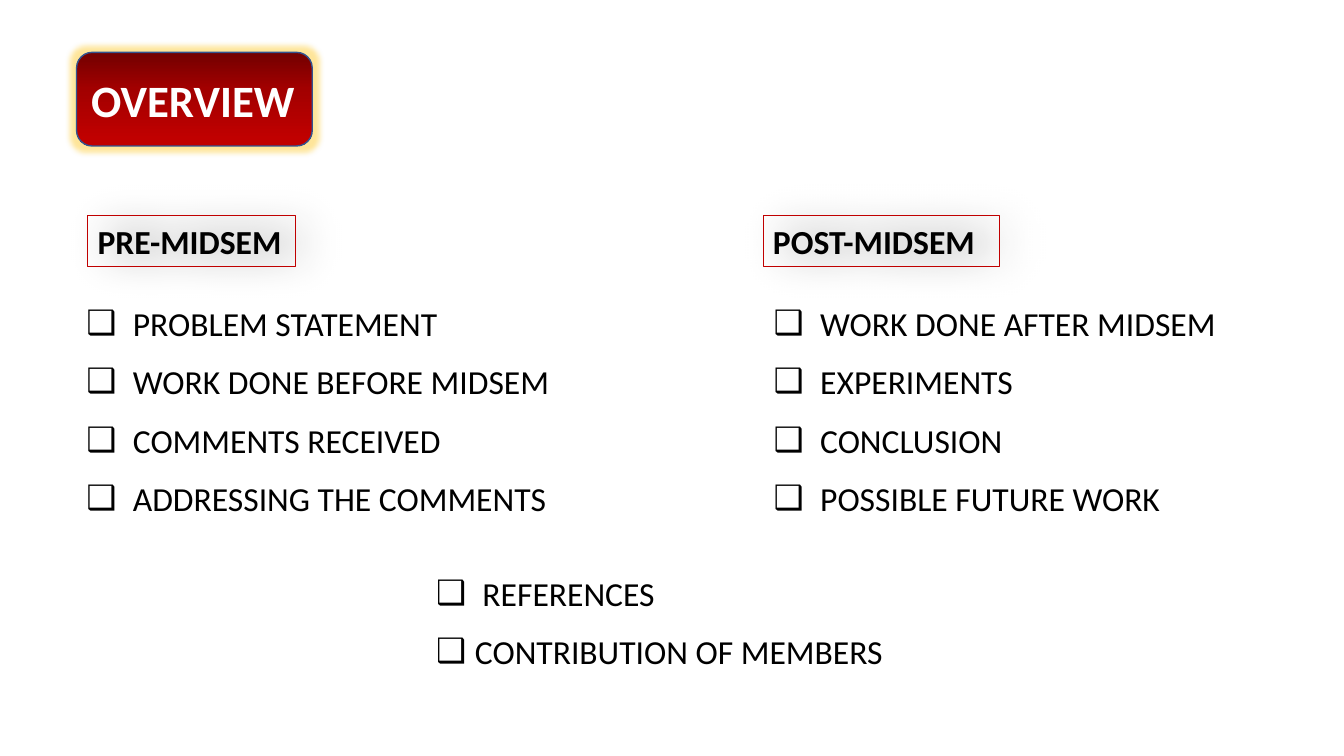
from lxml.etree import SubElement
from pptx import Presentation
from pptx.dml.color import RGBColor
from pptx.enum.shapes import MSO_SHAPE
from pptx.enum.text import MSO_ANCHOR, PP_ALIGN
from pptx.oxml.ns import qn
from pptx.util import Cm, Pt

FONT = "Calibri"
BLACK, WHITE, RED = "000000", "FFFFFF", "C00000"
WIDE_INDENT, NARROW_INDENT = Cm(1.17), Cm(0.98)


def color(hex_string):
    return RGBColor.from_string(hex_string)


def add_node(parent, tag, **attributes):
    return SubElement(parent, qn(tag), {name: str(value) for name, value in attributes.items()})


def add_color(parent, hex_string, alpha=100):
    srgb = add_node(parent, "a:srgbClr", val=hex_string)
    if alpha < 100:
        add_node(srgb, "a:alpha", val=alpha * 1000)


def add_effect(shape, tag, hex_string, alpha, **attributes):
    shape.shadow.inherit = False
    effects = shape._element.spPr.find(qn("a:effectLst"))
    add_color(add_node(effects, tag, **attributes), hex_string, alpha)


def style_text(paragraph, size, hex_string, bold=False, align=PP_ALIGN.LEFT):
    paragraph.alignment = align
    for run in paragraph.runs:
        run.font.name = FONT
        run.font.size = Pt(size)
        run.font.bold = bold
        run.font.color.rgb = color(hex_string)


def add_title(slide, left, top, width, height, wording):
    title = slide.shapes.add_shape(MSO_SHAPE.ROUNDED_RECTANGLE, left, top, width, height)
    title.fill.gradient()
    title.fill.gradient_angle = 270
    stops = title._element.spPr.find(qn("a:gradFill")).find(qn("a:gsLst"))
    for stop in list(stops):
        stops.remove(stop)
    for position, shade in ((0, "720000"), (39, "A20000"), (93, RED)):
        add_color(add_node(stops, "a:gs", pos=position * 1000), shade)
    title.line.color.rgb = color("325491")
    title.line.width = Pt(1)
    add_effect(title, "a:glow", "FFC000", 40, rad=Pt(8))
    title.text_frame.text = wording
    title.text_frame.vertical_anchor = MSO_ANCHOR.MIDDLE
    style_text(title.text_frame.paragraphs[0], 32, WHITE, bold=True)


def add_heading(slide, left, top, width, height, wording):
    heading = slide.shapes.add_shape(MSO_SHAPE.RECTANGLE, left, top, width, height)
    heading.fill.background()
    heading.line.color.rgb = color(RED)
    heading.line.width = Pt(0.75)
    add_effect(heading, "a:outerShdw", BLACK, 45, blurRad=Pt(30), dist=Pt(10), dir=0)
    heading.text_frame.text = wording
    heading.text_frame.vertical_anchor = MSO_ANCHOR.TOP
    style_text(heading.text_frame.paragraphs[0], 24, BLACK, bold=True)


def add_checklist(slide, left, top, width, height, items, align=PP_ALIGN.JUSTIFY):
    frame = slide.shapes.add_textbox(left, top, width, height).text_frame
    frame.word_wrap = True
    frame.text = "\n".join(wording for wording, _ in items)
    for position, (paragraph, (_, indent)) in enumerate(zip(frame.paragraphs, items)):
        style_text(paragraph, 24, BLACK, align=align)
        paragraph.space_before = Pt(13 if position else 0)
        properties = paragraph._p.get_or_add_pPr()
        properties.set("marL", str(indent))
        properties.set("indent", str(-indent))
        add_node(properties, "a:buFont", typeface=FONT)
        add_node(properties, "a:buChar", char="❑")


def add_overview(slide):
    add_title(slide, Cm(1.93), Cm(1.32), Cm(5.94), Cm(2.36), "OVERVIEW")

    before = ("PROBLEM STATEMENT", "WORK DONE BEFORE MIDSEM",
              "COMMENTS RECEIVED", "ADDRESSING THE COMMENTS")
    after = ("WORK DONE AFTER MIDSEM", "EXPERIMENTS",
             "CONCLUSION", "POSSIBLE FUTURE WORK")
    add_checklist(slide, Cm(1.93), Cm(7.5), Cm(12.7), Cm(5.75),
                  [(wording, WIDE_INDENT) for wording in before], PP_ALIGN.LEFT)
    add_checklist(slide, Cm(19.25), Cm(7.5), Cm(12.7), Cm(5.75),
                  [(wording, WIDE_INDENT) for wording in after])

    add_heading(slide, Cm(19.23), Cm(5.44), Cm(5.97), Cm(1.27), "POST-MIDSEM")
    add_heading(slide, Cm(2.21), Cm(5.44), Cm(5.23), Cm(1.27), "PRE-MIDSEM")

    add_checklist(slide, Cm(10.74), Cm(14.3), Cm(11.89), Cm(2.77),
                  [("REFERENCES", WIDE_INDENT), ("CONTRIBUTION OF MEMBERS", NARROW_INDENT)])


def main():
    presentation = Presentation()
    presentation.slide_width = Cm(33.87)
    presentation.slide_height = Cm(19.05)
    add_overview(presentation.slides.add_slide(presentation.slide_layouts[6]))
    presentation.save("out.pptx")


if __name__ == "__main__":
    main()
